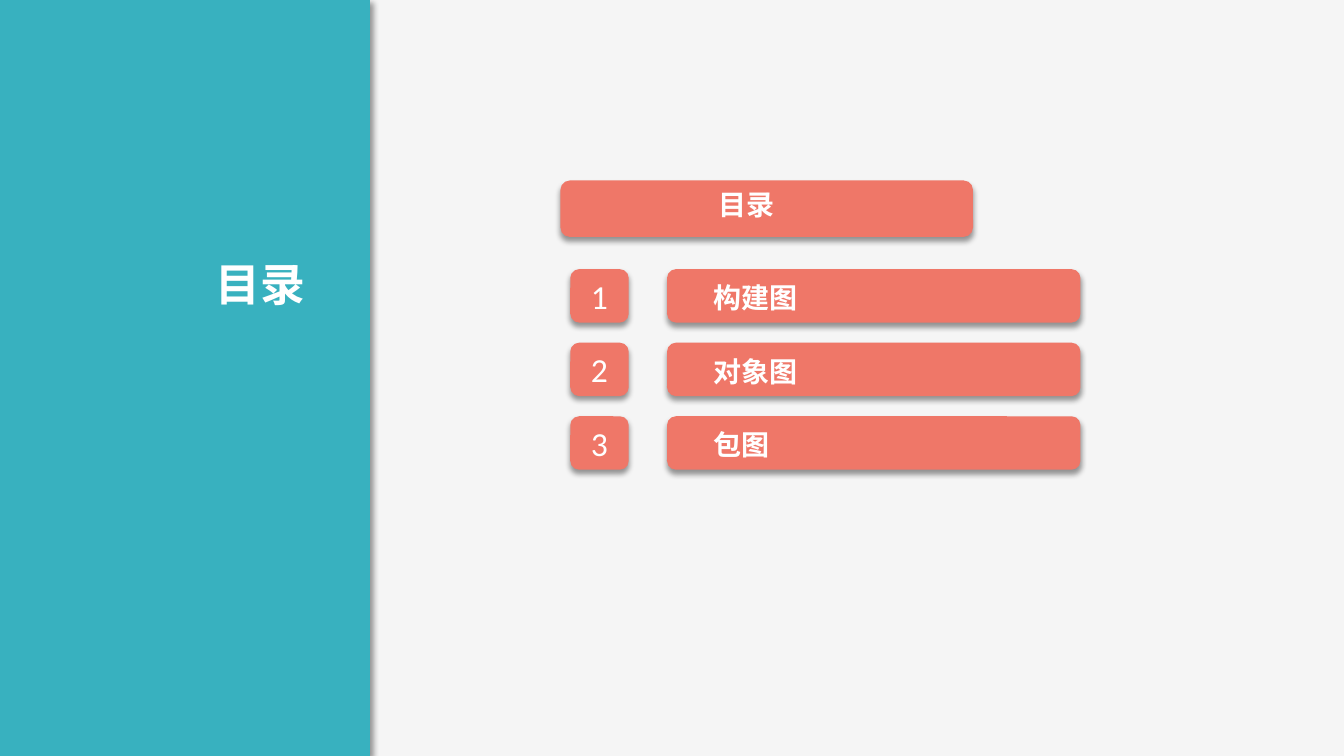
from lxml import etree
from pptx import Presentation
from pptx.dml.color import RGBColor
from pptx.enum.shapes import MSO_SHAPE
from pptx.enum.text import MSO_ANCHOR, PP_ALIGN
from pptx.oxml.ns import qn
from pptx.util import Inches, Pt

RECT, ROUND = MSO_SHAPE.RECTANGLE, MSO_SHAPE.ROUNDED_RECTANGLE
TOP, MIDDLE = MSO_ANCHOR.TOP, MSO_ANCHOR.MIDDLE
LEFT, CENTER, RIGHT = PP_ALIGN.LEFT, PP_ALIGN.CENTER, PP_ALIGN.RIGHT
HEX = {"back": "F5F5F5", "teal": "38B1BF", "coral": "EF7768",
       "white": "FFFFFF", "shade": "000000"}
CJK, LATIN = "Noto Sans CJK SC", "Calibri"
WIDE, HIGH = Inches(13.33), Inches(7.5)
TOPICS = ["构建图", "对象图", "包图"]


def paint(name):
    return RGBColor.from_string(HEX[name])


def place(x, y, w, h):
    """Turn a box in percent of the slide into lengths."""
    return [int(part * size / 100)
            for part, size in zip((x, y, w, h), (WIDE, HIGH) * 2)]


def shade(shape, angle):
    """Give the shape a soft drop shadow."""
    shape.shadow.inherit = False
    effects = shape._element.spPr.find(qn("a:effectLst"))
    outer = etree.SubElement(effects, qn("a:outerShdw"), blurRad=str(Pt(4)),
                             dist=str(Pt(3)), dir=str(angle * 60000),
                             algn="ctr", rotWithShape="0")
    color = etree.SubElement(outer, qn("a:srgbClr"), val=HEX["shade"])
    etree.SubElement(color, qn("a:alpha"), val="40000")


def block(shapes, kind, box, color, angle=90):
    shape = shapes.add_shape(kind, *place(*box))
    shape.fill.solid()
    shape.fill.fore_color.rgb = paint(color)
    shape.line.fill.background()
    shade(shape, angle)
    return shape


def write(shape, text, size, align, face=CJK, bold=True, anchor=TOP):
    frame = shape.text_frame
    frame.text = text
    frame.word_wrap = True
    frame.vertical_anchor = anchor
    frame.margin_left = frame.margin_right = Inches(0.13)
    frame.margin_top = frame.margin_bottom = Inches(0.07)
    line = frame.paragraphs[0]
    line.alignment = align
    font = line.runs[0].font
    font.size, font.bold, font.name = Pt(size), bold, face
    font.color.rgb = paint("white")
    etree.SubElement(font._element, qn("a:ea"), typeface=face)


def bar(slide, box, text, inset, align):
    """Group a coral bar with its label; inset is x, y and width."""
    x, y, w, h = box
    dx, dy, span = inset
    shapes = slide.shapes.add_group_shape().shapes
    block(shapes, ROUND, box, "coral")
    label = shapes.add_textbox(*place(x + dx, y + dy, span, 6.27))
    write(label, text, 20, align)


def side(slide, box):
    """Teal panel with the slide title."""
    x, y, w, h = box
    panel = block(slide.shapes, RECT, box, "teal", 45)
    title = slide.shapes.title
    title.left, title.top, title.width, title.height = place(
        x + 1.58, y + 33.07, 23.03, 8.93)
    write(title, "目录", 32, RIGHT)
    title._element.addprevious(panel._element)


def topics(slide, box):
    """Numbered rows, spread evenly over the box."""
    x, y, w, h = box
    tall = 7.07
    step = (h - tall) / (len(TOPICS) - 1)
    for i, topic in enumerate(TOPICS):
        top = y + i * step
        badge = block(slide.shapes, ROUND, (x, top, 4.35, tall), "coral")
        write(badge, str(i + 1), 24, CENTER, LATIN, False, MIDDLE)
        bar(slide, (x + 7.2, top, w - 7.2, tall), topic,
            (2.47, 0.6, 21.75), LEFT)


def main():
    deck = Presentation()
    deck.slide_width, deck.slide_height = WIDE, HIGH
    slide = deck.slides.add_slide(deck.slide_layouts[5])
    slide.background.fill.solid()
    slide.background.fill.fore_color.rgb = paint("back")
    side(slide, (-0.9, 0, 28.43, 100))
    bar(slide, (41.7, 23.87, 30.7, 7.47), "目录", (3, 0, 21.75), CENTER)
    topics(slide, (42.43, 35.6, 37.96, 26.53))
    deck.save("out.pptx")


if __name__ == "__main__":
    main()
